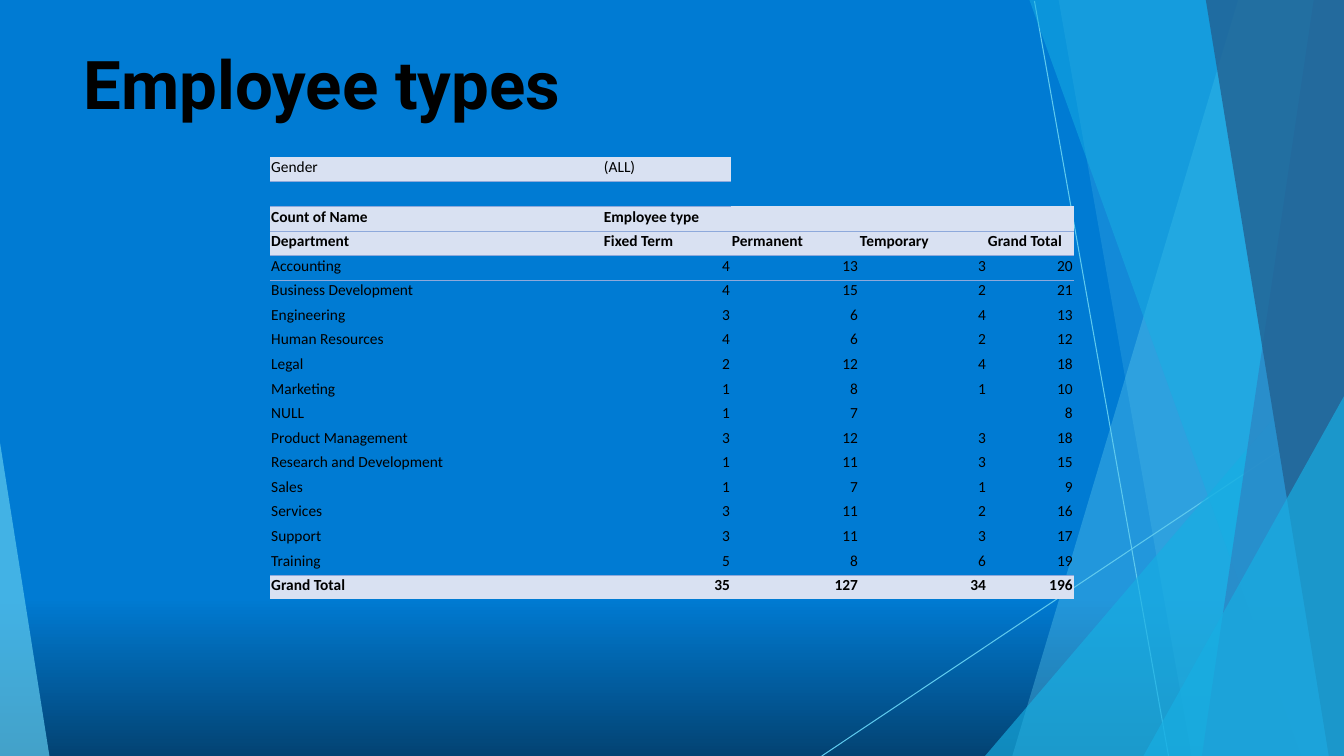
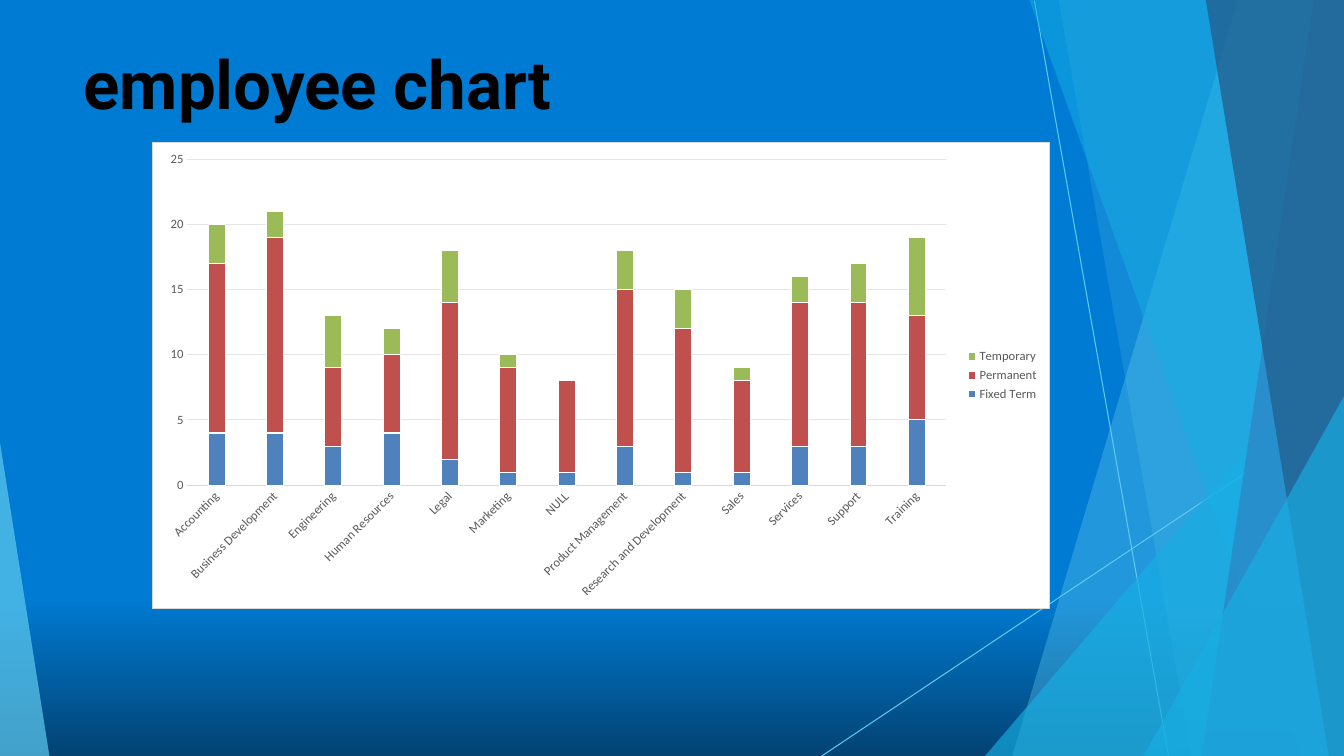
import pptx
import pptx.chart.data
import pptx.dml.color
import pptx.enum.chart
import pptx.enum.shapes
import pptx.enum.text
import pptx.oxml
import pptx.oxml.ns
import pptx.util
import lxml.etree

Inches = pptx.util.Inches
Pt = pptx.util.Pt
RGBColor = pptx.dml.color.RGBColor
qn = pptx.oxml.ns.qn

BLACK = RGBColor(0x00, 0x00, 0x00)
WHITE = RGBColor(0xFF, 0xFF, 0xFF)
GREY_TEXT = RGBColor(0x59, 0x59, 0x59)
GREY_LINE = RGBColor(0xD9, 0xD9, 0xD9)
GREY_GRID = RGBColor(0xE6, 0xE6, 0xE6)
BACK_BLUE = RGBColor(0x00, 0x7B, 0xD3)
BACK_NAVY = RGBColor(0x03, 0x43, 0x73)
SKY = RGBColor(0x5F, 0xCA, 0xEE)
CYAN = RGBColor(0x17, 0xAF, 0xE3)
MID_BLUE = RGBColor(0x2D, 0x83, 0xC3)
DEEP_BLUE = RGBColor(0x22, 0x61, 0x92)
CELL_FILL = RGBColor(0xD9, 0xE1, 0xF2)
CELL_LINE = RGBColor(0x8E, 0xA9, 0xDB)
SERIES_COLORS = [
    RGBColor(0x4F, 0x81, 0xBD),
    RGBColor(0xC0, 0x50, 0x4D),
    RGBColor(0x9B, 0xBB, 0x59),
]

WIDTH, HEIGHT = 13.33, 7.5
BACKGROUND_STOPS = [(0.79, BACK_BLUE), (1.0, BACK_NAVY)]
RAYS = [((10.26, 0.01), (11.59, HEIGHT)), ((WIDTH, 4.04), (8.15, HEIGHT))]
FACETS = [
    ([(WIDTH, 0), (12.28, 0), (10.04, HEIGHT), (WIDTH, HEIGHT)], SKY, 36),
    ([(WIDTH, 0), (10.5, 0), (11.82, HEIGHT), (WIDTH, HEIGHT)], SKY, 20),
    ([(WIDTH, 3.33), (9.77, HEIGHT), (WIDTH, HEIGHT)], CYAN, 66),
    ([(WIDTH, 0), (10.21, 0), (12.91, HEIGHT), (WIDTH, HEIGHT)], CYAN, 50),
    ([(WIDTH, 0), (13.03, 0), (11.92, HEIGHT), (WIDTH, HEIGHT)], MID_BLUE, 70),
    ([(WIDTH, 0), (11.96, 0), (13.18, HEIGHT), (WIDTH, HEIGHT)], DEEP_BLUE, 80),
    ([(WIDTH, 3.93), (11.34, HEIGHT), (WIDTH, HEIGHT)], CYAN, 66),
    ([(0, 4.39), (0, HEIGHT), (0.49, HEIGHT)], SKY, 70),
]

TITLE_BOX = {"left": 0.83, "top": 0.42, "width": 11.68, "height": 0.81}
TITLE_FONT = {"name": "Roboto", "size": Pt(48), "bold": True}
CELL_FONT = {"name": "Calibri", "size": Pt(11)}
CHART_FONT = {"name": "Calibri", "size": Pt(10)}
LABEL_FONT = {"name": "Calibri", "size": Pt(9)}

EMPLOYEE_TYPES = ["Fixed Term", "Permanent", "Temporary"]
STAFF = {
    "Accounting": (4, 13, 3),
    "Business Development": (4, 15, 2),
    "Engineering": (3, 6, 4),
    "Human Resources": (4, 6, 2),
    "Legal": (2, 12, 4),
    "Marketing": (1, 8, 1),
    "NULL": (1, 7, None),
    "Product Management": (3, 12, 3),
    "Research and Development": (1, 11, 3),
    "Sales": (1, 7, 1),
    "Services": (3, 11, 2),
    "Support": (3, 11, 3),
    "Training": (5, 8, 6),
}
COLUMN_WIDTHS = [3.3, 1.27, 1.27, 1.27, 0.86]
ROW_HEIGHT = 0.21
HEADER_ROWS = [
    ["Gender", "(ALL)"],
    [],
    ["Count of Name", "Employee type"],
    ["Department", *EMPLOYEE_TYPES, "Grand Total"],
]
LAST_ROW = len(HEADER_ROWS) + len(STAFF)
SHADED_CELLS = {0: 2, 2: 5, 3: 5, LAST_ROW: 5}
RULED_CELLS = {0: 2, 2: 5, 3: 5, LAST_ROW - 1: 5}
BOLD_ROWS = {2, 3, LAST_ROW}
CELL_FORMAT = {
    "margin_left": Inches(0.01),
    "margin_right": Inches(0.01),
    "margin_top": Inches(0.01),
    "margin_bottom": Inches(0.05),
    "vertical_anchor": pptx.enum.text.MSO_ANCHOR.BOTTOM,
}
NO_STYLE_TABLE = "{2D5ABB26-0587-4C30-8999-92F81FD0307C}"


def apply_format(target, values):
    for name, value in values.items():
        setattr(target, name, value)


def format_font(font, values, color):
    apply_format(font, values)
    font.color.rgb = color


def format_line(line, color):
    line.color.rgb = color
    line.width = Pt(0.75)


def add_ray(slide, start, end):
    ray = slide.shapes.add_connector(
        pptx.enum.shapes.MSO_CONNECTOR.STRAIGHT,
        *(Inches(value) for value in start + end),
    )
    format_line(ray.line, SKY)
    lxml.etree.SubElement(ray.element.spPr, qn("a:effectLst"))
    return ray


def add_facet(slide, points, color, opacity):
    corners = [(Inches(x), Inches(y)) for x, y in points]
    builder = slide.shapes.build_freeform(*corners[0])
    builder.add_line_segments(corners[1:], close=True)
    facet = builder.convert_to_shape()
    facet.shadow.inherit = False
    facet.fill.solid()
    facet.fill.fore_color.rgb = color
    facet.line.fill.background()
    color_element = facet.element.xpath("./p:spPr/a:solidFill/a:srgbClr")[0]
    lxml.etree.SubElement(color_element, qn("a:alpha")).set("val", str(opacity * 1000))
    return facet


def decorate_layout(layout, slide):
    fill = layout.background.fill
    fill.gradient()
    fill.gradient_angle = 270
    for stop, (position, color) in zip(fill.gradient_stops, BACKGROUND_STOPS):
        stop.position = position
        stop.color.rgb = color
    shapes = [add_ray(slide, *ray) for ray in RAYS]
    shapes += [add_facet(slide, *facet) for facet in FACETS]
    for index, shape in enumerate(shapes):
        shape.element.xpath(".//p:cNvPr")[0].set("id", str(100 + index))
        layout.shapes.element.insert(2 + index, shape.element)


def add_titled_slide(presentation, layout, text):
    slide = presentation.slides.add_slide(layout)
    title = slide.shapes.title
    apply_format(title, {name: Inches(value) for name, value in TITLE_BOX.items()})
    frame = title.text_frame
    frame.text = text
    apply_format(frame, {
        "margin_left": 0, "margin_right": 0, "margin_top": 0, "margin_bottom": 0,
        "word_wrap": True,
        "vertical_anchor": pptx.enum.text.MSO_ANCHOR.TOP,
        "auto_size": pptx.enum.text.MSO_AUTO_SIZE.SHAPE_TO_FIT_TEXT,
    })
    paragraph = frame.paragraphs[0]
    paragraph.alignment = pptx.enum.text.PP_ALIGN.LEFT
    format_font(paragraph.runs[0].font, TITLE_FONT, BLACK)
    return slide


def add_cell_border(cell, side):
    border = pptx.oxml.parse_xml(
        f'<a:{side} {pptx.oxml.ns.nsdecls("a")} w="6350">'
        f'<a:solidFill><a:srgbClr val="{CELL_LINE}"/></a:solidFill></a:{side}>'
    )
    cell._tc.get_or_add_tcPr().insert(0, border)


def fill_cell(cell, value, row, column):
    apply_format(cell, CELL_FORMAT)
    paragraph = cell.text_frame.paragraphs[0]
    if value is None:
        end_format = lxml.etree.SubElement(paragraph._p, qn("a:endParaRPr"))
        end_format.set("sz", "1100")
    else:
        run = paragraph.add_run()
        run.text = str(value)
        format_font(run.font, CELL_FONT, BLACK)
        run.font.bold = row in BOLD_ROWS
        if isinstance(value, int):
            paragraph.alignment = pptx.enum.text.PP_ALIGN.RIGHT
    if column < SHADED_CELLS.get(row, 0):
        cell.fill.solid()
        cell.fill.fore_color.rgb = CELL_FILL
    else:
        cell.fill.background()
    for side, ruled_row in (("lnB", row), ("lnT", row - 1)):
        if column < RULED_CELLS.get(ruled_row, 0):
            add_cell_border(cell, side)


def add_staff_table(slide):
    body = [
        [name, *counts, sum(count or 0 for count in counts)]
        for name, counts in STAFF.items()
    ]
    totals = [sum(value or 0 for value in column) for column in list(zip(*body))[1:]]
    rows = HEADER_ROWS + body + [["Grand Total", *totals]]
    frame = slide.shapes.add_table(
        len(rows), len(COLUMN_WIDTHS), Inches(2.68), Inches(1.56),
        Inches(sum(COLUMN_WIDTHS)), Inches(ROW_HEIGHT * len(rows)),
    )
    frame.element.xpath(".//a:tableStyleId")[0].text = NO_STYLE_TABLE
    table = frame.table
    apply_format(table, {"first_row": False, "horz_banding": False})
    for column, width in zip(table.columns, COLUMN_WIDTHS):
        column.width = Inches(width)
    for row, values in enumerate(rows):
        table.rows[row].height = Inches(ROW_HEIGHT)
        for column in range(len(COLUMN_WIDTHS)):
            value = values[column] if column < len(values) else None
            fill_cell(table.cell(row, column), value, row, column)


def add_staff_chart(slide):
    chart_data = pptx.chart.data.CategoryChartData()
    chart_data.categories = list(STAFF)
    for name, counts in zip(EMPLOYEE_TYPES, zip(*STAFF.values())):
        chart_data.add_series(name, counts)
    chart = slide.shapes.add_chart(
        pptx.enum.chart.XL_CHART_TYPE.COLUMN_STACKED,
        Inches(1.51), Inches(1.41), Inches(8.9), Inches(4.63), chart_data,
    ).chart
    format_font(chart.font, CHART_FONT, BLACK)
    apply_format(chart, {"has_title": False, "has_legend": True})
    chart.legend.position = pptx.enum.chart.XL_LEGEND_POSITION.RIGHT
    chart.legend.include_in_layout = False
    format_font(chart.legend.font, LABEL_FONT, GREY_TEXT)

    plot = chart.plots[0]
    apply_format(plot, {"gap_width": 246, "overlap": 100, "vary_by_categories": False})
    for series, color in zip(plot.series, SERIES_COLORS):
        series.format.fill.solid()
        series.format.fill.fore_color.rgb = color
        format_line(series.format.line, WHITE)

    for axis in (chart.category_axis, chart.value_axis):
        axis.major_tick_mark = pptx.enum.chart.XL_TICK_MARK.NONE
        axis.minor_tick_mark = pptx.enum.chart.XL_TICK_MARK.NONE
        format_font(axis.tick_labels.font, LABEL_FONT, GREY_TEXT)
    format_line(chart.category_axis.format.line, GREY_LINE)
    chart.value_axis.format.line.fill.background()
    format_line(chart.value_axis.major_gridlines.format.line, GREY_GRID)
    label_body = chart.element.xpath(".//c:catAx/c:txPr/a:bodyPr")[0]
    label_body.set("rot", "-2700000")

    chart_area = pptx.oxml.parse_xml(
        f'<c:spPr {pptx.oxml.ns.nsdecls("c", "a")}>'
        f'<a:solidFill><a:srgbClr val="{WHITE}"/></a:solidFill>'
        f'<a:ln w="9525"><a:solidFill><a:srgbClr val="{GREY_LINE}"/></a:solidFill></a:ln>'
        "</c:spPr>"
    )
    chart.element.xpath("./c:chart")[0].addnext(chart_area)


def main():
    presentation = pptx.Presentation()
    presentation.slide_width = Inches(WIDTH)
    presentation.slide_height = Inches(HEIGHT)
    layout = presentation.slide_layouts.get_by_name("Title Only")
    table_slide = add_titled_slide(presentation, layout, "Employee types")
    decorate_layout(layout, table_slide)
    add_staff_table(table_slide)
    add_staff_chart(add_titled_slide(presentation, layout, "employee chart"))
    presentation.save("out.pptx")


if __name__ == "__main__":
    main()
